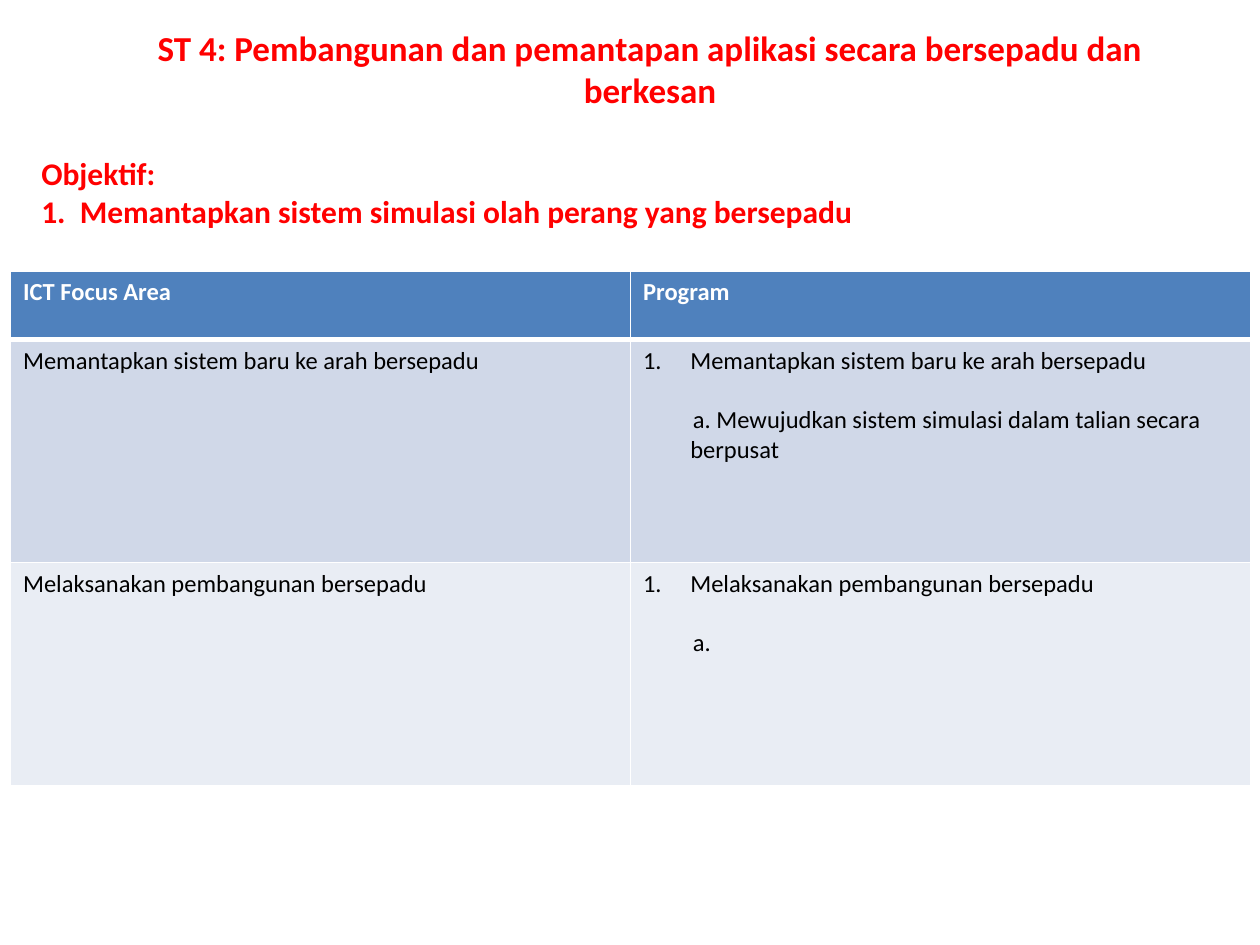
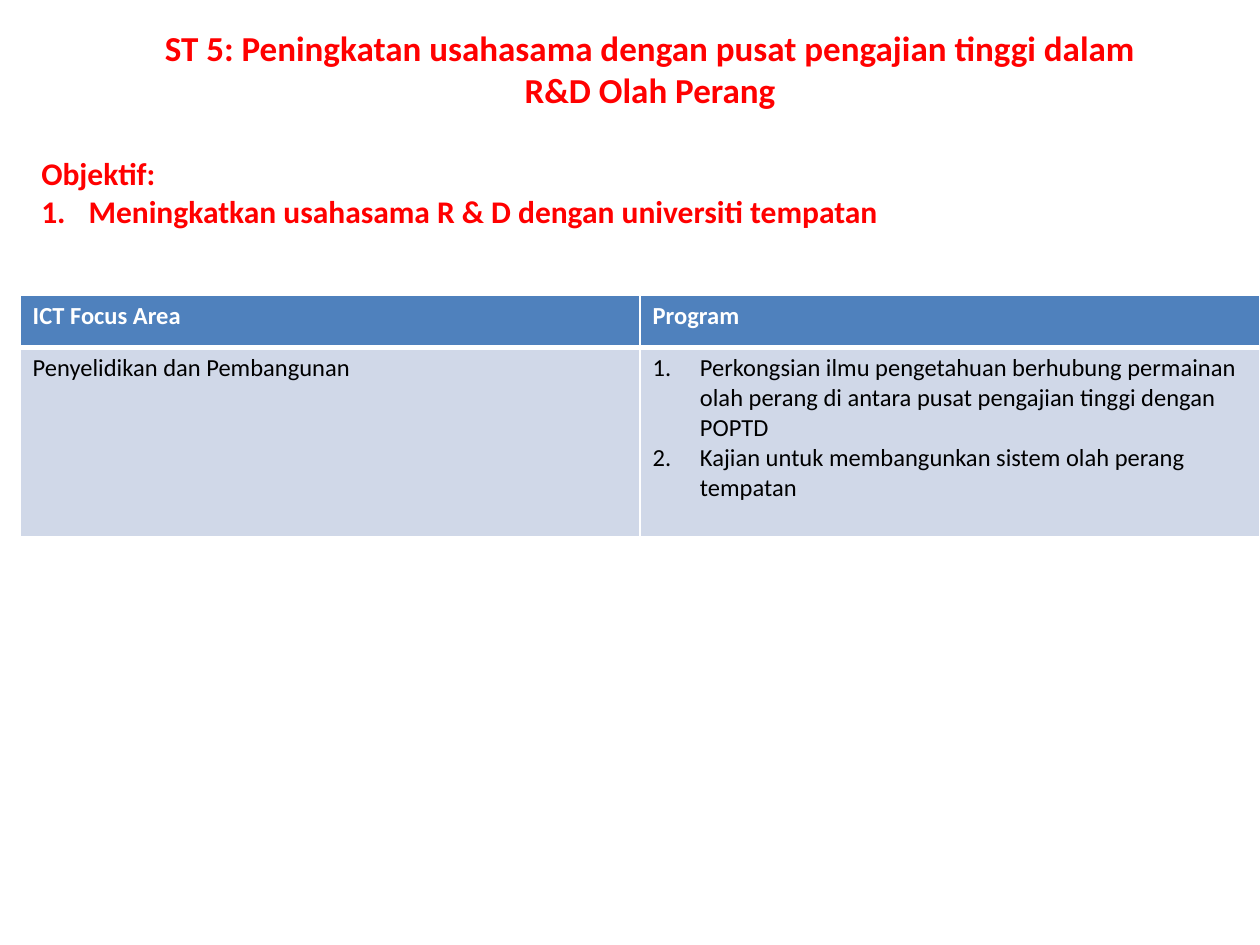
from lxml.etree import SubElement
from pptx import Presentation
from pptx.dml.color import RGBColor
from pptx.enum.text import PP_ALIGN as Align
from pptx.oxml import parse_xml
from pptx.oxml.ns import nsdecls, qn
from pptx.util import Pt

FONT = "Calibri"
COLORS = {
    "heading": "FF0000",
    "header": "4F81BD",
    "band_dark": "D0D8E8",
    "band_light": "E9EDF4",
    "white": "FFFFFF",
    "black": "000000",
}
NUMBER_INDENT = 27
COLUMN_WIDTH = 354.25
TITLE_BOX = (73.5, 11.5, 596, 128)
OBJECTIVE_BOX = (16.5, 84.5, 686, 116.5)


def write_paragraph(paragraph, text, size=14, color="black", bold=False,
                    align=Align.LEFT, hanging=0, numbered=False, sub_item=False):
    """Fill one paragraph; a sub item stands one line below, at the indent."""
    paragraph.alignment = align
    run = paragraph.add_run()
    run.text = text
    run.font.name = FONT
    run.font.size = Pt(size)
    run.font.bold = bold
    run.font.color.rgb = RGBColor.from_string(COLORS[color])
    properties = paragraph._p.get_or_add_pPr()
    if numbered:
        hanging = hanging or NUMBER_INDENT
        properties.set("marL", str(Pt(hanging)))
        properties.set("indent", str(-Pt(hanging)))
        SubElement(properties, qn("a:buFont"), typeface="+mj-lt")
        SubElement(properties, qn("a:buAutoNum"), type="arabicPeriod")
    elif sub_item:
        properties.set("marL", str(Pt(NUMBER_INDENT)))
        properties.set("indent", str(Pt(1.5)))
        paragraph.space_before = Pt(17)


def write_paragraphs(text_frame, items, **shared_format):
    """Write (text, format) pairs, one paragraph each."""
    for index, (text, text_format) in enumerate(items):
        paragraph = text_frame.add_paragraph() if index else text_frame.paragraphs[0]
        write_paragraph(paragraph, text, **shared_format, **text_format)


def add_text(slide, box, items, **shared_format):
    shape = slide.shapes.add_textbox(*map(Pt, box))
    shape.text_frame.word_wrap = True
    write_paragraphs(shape.text_frame, items, **shared_format)


def style_cell(cell, fill, top=1, bottom=1):
    """Set the fill and the white borders, with top and bottom widths in points."""
    cell.fill.solid()
    cell.fill.fore_color.rgb = RGBColor.from_string(COLORS[fill])
    properties = cell._tc.get_or_add_tcPr()
    borders = {"lnL": 1, "lnR": 1, "lnT": top, "lnB": bottom}
    for position, (side, width) in enumerate(borders.items()):
        properties.insert(position, parse_xml(
            f'<a:{side} {nsdecls("a")} w="{Pt(width)}"><a:solidFill>'
            f'<a:srgbClr val="{COLORS["white"]}"/></a:solidFill></a:{side}>'))


def add_program_table(slide, left, top, row_heights, programs):
    """Add the header row and one row per (focus area, program items) pair."""
    frame = slide.shapes.add_table(len(row_heights), 2, Pt(left), Pt(top),
                                   Pt(2 * COLUMN_WIDTH), Pt(sum(row_heights)))
    table = frame.table
    for column in table.columns:
        column.width = Pt(COLUMN_WIDTH)
    for row, height in zip(table.rows, row_heights):
        row.height = Pt(height)
    for cell, label in zip(table.rows[0].cells, ("ICT Focus Area", "Program")):
        style_cell(cell, "header", bottom=3)
        write_paragraph(cell.text_frame.paragraphs[0], label, color="white", bold=True)
    for index, (focus_area, items) in enumerate(programs, start=1):
        fill = "band_dark" if index % 2 else "band_light"
        for cell, content in zip(table.rows[index].cells, ([(focus_area, {})], items)):
            style_cell(cell, fill, top=3 if index == 1 else 1)
            write_paragraphs(cell.text_frame, content)


def add_strategy_slide(presentation, title, objective, objective_indent, **table):
    slide = presentation.slides.add_slide(presentation.slide_layouts[6])
    add_program_table(slide, **table)
    add_text(slide, TITLE_BOX, [(title, {})], size=20, color="heading", bold=True,
             align=Align.CENTER)
    add_text(slide, OBJECTIVE_BOX,
             [("Objektif:", {}),
              (objective, {"numbered": True, "hanging": objective_indent})],
             size=18, color="heading", bold=True)


def main():
    presentation = Presentation()
    presentation.slide_width, presentation.slide_height = Pt(720), Pt(540)
    numbered, sub_item = {"numbered": True}, {"sub_item": True}

    add_strategy_slide(
        presentation,
        "ST 4: Pembangunan dan pemantapan aplikasi secara bersepadu dan berkesan",
        "Memantapkan sistem simulasi olah perang yang bersepadu", 22,
        left=6, top=155, row_heights=(39, 127.5, 127.5),
        programs=[
            ("Memantapkan sistem baru ke arah bersepadu", [
                ("Memantapkan sistem baru ke arah bersepadu", numbered),
                ("a. Mewujudkan sistem simulasi dalam talian secara berpusat", sub_item)]),
            ("Melaksanakan pembangunan bersepadu", [
                ("Melaksanakan pembangunan bersepadu", numbered),
                ("a.", sub_item)]),
        ])
    add_strategy_slide(
        presentation,
        "ST 5: Peningkatan usahasama dengan pusat pengajian tinggi dalam R&D Olah Perang",
        "Meningkatkan usahasama R & D dengan universiti tempatan", NUMBER_INDENT,
        left=11.5, top=168.5, row_heights=(30, 108),
        programs=[
            ("Penyelidikan dan Pembangunan", [
                ("Perkongsian ilmu pengetahuan berhubung permainan olah perang "
                 "di antara pusat pengajian tinggi dengan POPTD", numbered),
                ("Kajian untuk membangunkan sistem olah perang tempatan", numbered)]),
        ])
    presentation.save("out.pptx")


if __name__ == "__main__":
    main()
